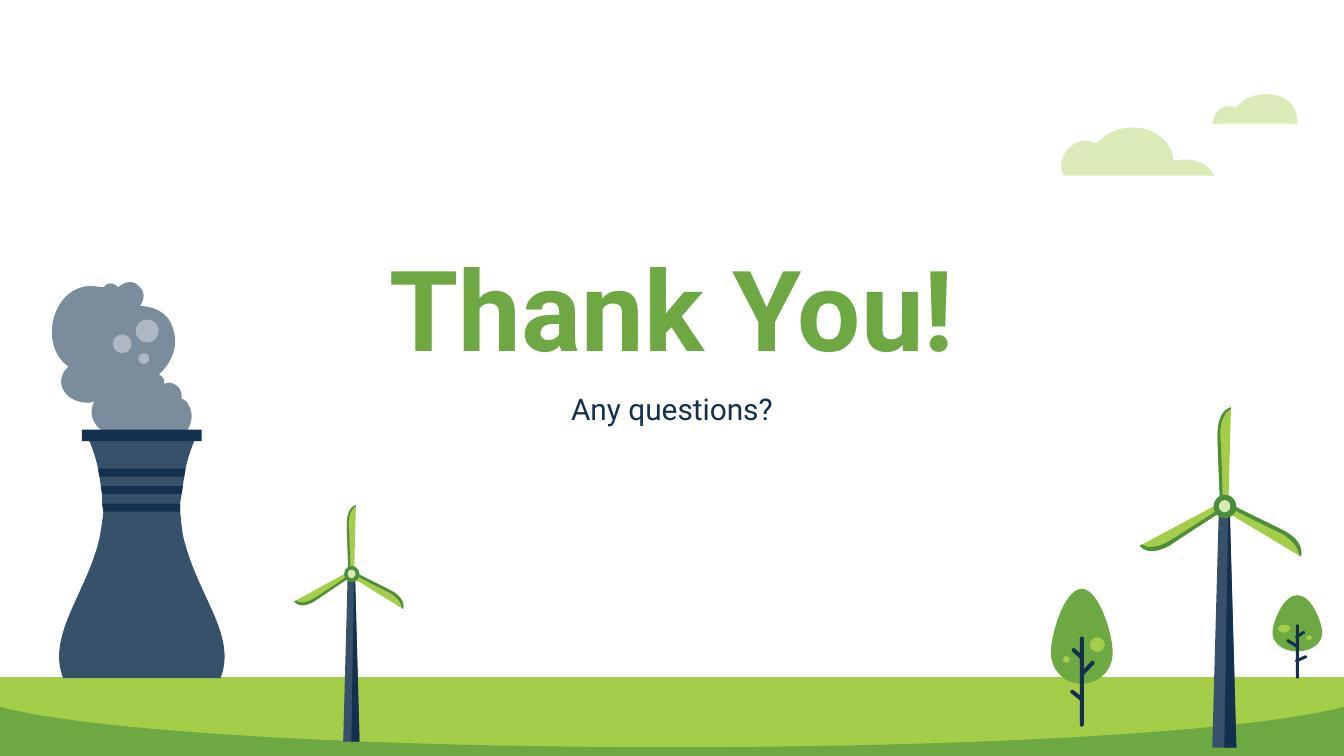
from dataclasses import dataclass
from math import atan2, degrees, hypot

from lxml.etree import SubElement
from pptx import Presentation
from pptx.dml.color import RGBColor as Rgb
from pptx.enum.shapes import MSO_SHAPE as Kind
from pptx.enum.text import MSO_ANCHOR as Anchor, MSO_AUTO_SIZE as Fit, PP_ALIGN as Align
from pptx.oxml.ns import qn
from pptx.util import Cm, Pt


@dataclass(frozen=True)
class Theme:
    """Colours, font and type sizes of the slide."""
    lime: str = "A4CD49"
    leaf: str = "6EA843"
    moss: str = "4E8D3A"
    pale: str = "DBEBB7"
    navy: str = "13304E"
    slate: str = "38516A"
    smoke: str = "7B8C9D"
    white: str = "FFFFFF"
    font: str = "Roboto"
    big: int = 60
    small: int = 16


@dataclass(frozen=True)
class Box:
    """A frame in centimetres, divided into a grid of columns and rows."""
    x: float
    y: float
    w: float
    h: float
    cols: float = 1
    rows: float = 1

    def spot(self, x, y):
        """Turn a grid point into a point on the slide."""
        return Cm(self.x + self.w * x / self.cols), Cm(self.y + self.h * y / self.rows)

    def span(self, w, h):
        """Turn a grid size into a size on the slide."""
        return Cm(self.w * w / self.cols), Cm(self.h * h / self.rows)


THEME = Theme()
CROWN = "23 0,36 0 46 34 46 47,46 60 36 70 23 70,10 70 0 60 0 47,0 34 10 0 23 0"
HILL = "0 22,0 58.5,1000 58.5,1000 22,934 40 735 52 500 52,265 52 66 40 0 22"
CLOUDS = (
    (Box(19.94, 2.41, 3.02, 0.91, 119, 36),
     "58 0,74 0 88 11 88 25,92 24 95 24 97 24,113 24 119 36 119 36,7 36,"
     "0 27 9 10 23 10,26 10 28 11 31 12,39 3 49 0 58 0"),
    (Box(22.91, 1.78, 1.63, 0.56, 64, 22),
     "40 0,52 0 64 6 63 22,0 22,0 22 2 9 12 9,14 9 16 9 18 10,22 4 31 0 40 0"),
)
SMOKE = (
    "69 0,64 0 60 4 60 4,60 4 57 1 54 1,52 1 51 2 49 4,46 4 43 3 40 3,"
    "11 3 0 47 23 63,11 74 20 90 38 90,39 90 41 89 42 89,34 107 55 115 55 115,"
    "107 115,121 103 112 87 107 87,108 80 103 75 97 75,96 75 95 75 94 76,"
    "95 70 90 69 90 69,90 69 107 55 101 36,97 19 80 18 77 18,"
    "76 18 76 18 76 18,76 18 83 9 75 3,73 1 71 0 69 0")
TOWER = (
    "37 115,37 115 42 125 45 139,46 145,47 152,48 158,48 165,49 171,"
    "48 179 47 187 45 195,34 235 7 264 19 295,136 295,148 264 121 236 110 196,"
    "107 187 107 179 106 171,106 165,107 158,108 152,109 145,110 139,"
    "113 125 118 115 118 115")
BANDS = ("45 139,46 145,109 145,110 139", "47 152,48 158,107 158,108 152",
         "48 165,49 171,106 171,106 165")
MILL = (
    ("59 74,54 253,72 253,67 74", THEME.slate),
    ("66 74,63 253,72 253,67 74", THEME.navy),
    ("63 70,60 75,120 111,120 111 124 101 108 92,100 88 63 70 63 70", THEME.lime),
    ("63 70,62 72,67 75 99 91 106 94,116 100 118 106 119 110,120 111,"
     "120 111 124 101 108 92,100 88 63 70 63 70", THEME.moss),
    ("62 70,0 103,0 103 3 107 9 107,12 107 16 106 22 103,29 98 65 75 65 75", THEME.lime),
    ("63 73,59 76 28 96 21 100,16 103 11 104 8 104,5 104 3 103 2 102,0 103,"
     "0 103 3 107 9 107,12 107 16 106 22 103,29 98 65 75 65 75", THEME.moss),
    ("68 0,68 0 58 1 58 21,58 29 60 74 60 74,66 74", THEME.lime),
    ("68 0,68 0 58 1 58 21,58 29 60 74 60 74,62 74,62 74 61 29 60 21,"
     "60 7 65 3 68 1", THEME.moss),
)


def paint(shape, color, alpha=None):
    """Fill a shape and take its line and shadow away."""
    shape.fill.solid()
    shape.fill.fore_color.rgb = Rgb.from_string(color)
    shape.line.fill.background()
    shape.shadow.inherit = False
    if alpha:
        tint = shape.element.spPr.find(".//" + qn("a:srgbClr"))
        SubElement(tint, qn("a:alpha")).set("val", str(alpha * 1000))


def draw(shapes, box, outline, color):
    """Draw an outline of comma-parted legs: one point is a line, three a curve."""
    legs = []
    for leg in outline.split(","):
        nums = [float(n) for n in leg.split()]
        legs.append([box.spot(*dot) for dot in zip(nums[::2], nums[1::2])])
    start, *rest = legs
    pen = shapes.build_freeform(*start[0])
    pen.add_line_segments([dot for leg in rest for dot in leg], close=True)
    shape = pen.convert_to_shape()
    lines = iter(shape.element.findall(".//" + qn("a:lnTo")))
    for leg in rest:
        first, *more = [next(lines) for _ in leg]
        if more:
            curve = first.makeelement(qn("a:cubicBezTo"))
            first.addprevious(curve)
            for line in (first, *more):
                curve.append(line[0])
                line.getparent().remove(line)
    paint(shape, color)


def stamp(shapes, box, kind, area, color, alpha=None):
    """Place a preset shape on an area of the grid."""
    x, y, w, h = area
    shape = shapes.add_shape(kind, *box.spot(x, y), *box.span(w, h))
    paint(shape, color, alpha)
    return shape


def stick(shapes, box, ends, width):
    """Draw a bar with round ends between two grid points."""
    x1, y1, x2, y2 = ends
    size = hypot(x2 - x1, y2 - y1) + width
    area = (x1 + x2 - size) / 2, (y1 + y2 - width) / 2, size, width
    bar = stamp(shapes, box, Kind.ROUNDED_RECTANGLE, area, THEME.navy)
    bar.adjustments[0] = 0.5
    bar.rotation = degrees(atan2(y2 - y1, x2 - x1))


def ground(slide, box):
    """Draw the meadow and the hill in front of it."""
    stamp(slide.shapes, box, Kind.RECTANGLE, (0, 0, box.cols, box.rows), THEME.lime)
    draw(slide.shapes, box, HILL, THEME.leaf)


def label(holder, box, text, size, color, bold=False):
    """Move a placeholder, set its text and format it."""
    holder.left, holder.top = box.spot(0, 0)
    holder.width, holder.height = box.span(1, 1)
    frame = holder.text_frame
    frame.text = text
    frame.word_wrap = True
    frame.auto_size = Fit.NONE
    frame.vertical_anchor = Anchor.BOTTOM if bold else Anchor.TOP
    frame.margin_left = frame.margin_right = frame.margin_top = frame.margin_bottom = Cm(0.25)
    line = frame.paragraphs[0]
    line.alignment = Align.CENTER
    line.space_before = Pt(0)
    font = line.runs[0].font
    font.name, font.size, font.bold = THEME.font, Pt(size), bold
    font.color.rgb = Rgb.from_string(color)


def tree(slide, box, crown, width, twigs, spots):
    """Draw a tree with its crown, trunk, twigs and light spots."""
    shapes = slide.shapes.add_group_shape().shapes
    top = Box(box.x, box.y, box.w, box.h * crown / box.rows, 46, 70)
    draw(shapes, top, CROWN, THEME.leaf)
    for twig in twigs:
        stick(shapes, box, twig, width)
    for spot in spots:
        stamp(shapes, box, Kind.OVAL, spot, THEME.lime)


def plant(slide, box):
    """Draw the cooling tower and its smoke."""
    shapes = slide.shapes.add_group_shape().shapes
    draw(shapes, box, SMOKE, THEME.smoke)
    for puff in ((73, 28, 17, 17), (75, 53, 8, 8), (56, 39, 14, 14)):
        stamp(shapes, box, Kind.OVAL, puff, THEME.white, 39)
    draw(shapes, box, TOWER, THEME.slate)
    stamp(shapes, box, Kind.RECTANGLE, (33, 110, 89, 8.5), THEME.navy)
    for band in BANDS:
        draw(shapes, box, band, THEME.navy)


def mill(slide, box):
    """Draw a wind turbine with mast, blades and hub."""
    shapes = slide.shapes.add_group_shape().shapes
    for outline, color in MILL:
        draw(shapes, box, outline, color)
    stamp(shapes, box, Kind.OVAL, (55, 65, 17, 17.5), THEME.moss)
    stamp(shapes, box, Kind.OVAL, (59, 69, 8.5, 9), THEME.pale)


def main():
    """Build the closing slide and save it."""
    deck = Presentation()
    deck.slide_width, deck.slide_height = Cm(25.4), Cm(14.29)
    slide = deck.slides.add_slide(deck.slide_layouts[0])
    ground(slide, Box(0, 12.8, 25.4, 1.49, 1000, 58.5))
    label(slide.shapes.title, Box(5.08, 4.42, 15.24, 2.9), "Thank You!",
          THEME.big, THEME.leaf, True)
    label(slide.placeholders[1], Box(5.08, 7.14, 15.24, 1.37), "Any questions?",
          THEME.small, THEME.navy)
    tree(slide, Box(24.05, 11.25, 0.94, 1.57, 37, 62), 42, 2.3,
         ((18.5, 23, 18.5, 61), (18, 38, 11.5, 34), (18, 31, 23, 28), (18, 49, 24.5, 46)),
         ((25, 30, 4.5, 3.5), (4, 22, 9, 6)))
    plant(slide, Box(0.71, 5.33, 3.56, 7.49, 140, 295))
    tree(slide, Box(19.86, 11.13, 1.17, 2.62, 46, 103), 70.5, 3,
         ((23, 37, 23, 101), (23, 63.5, 31, 55), (23, 51, 17, 45.5), (23, 82, 16, 76.5)),
         ((9, 50, 5, 5), (29, 36, 11, 11)))
    for box, outline in CLOUDS:
        draw(slide.shapes, box, outline, THEME.pale)
    mill(slide, Box(5.56, 9.55, 2.11, 4.47, 123, 253))
    mill(slide, Box(21.54, 7.7, 3.12, 6.43, 123, 253))
    deck.save("out.pptx")


if __name__ == "__main__":
    main()
